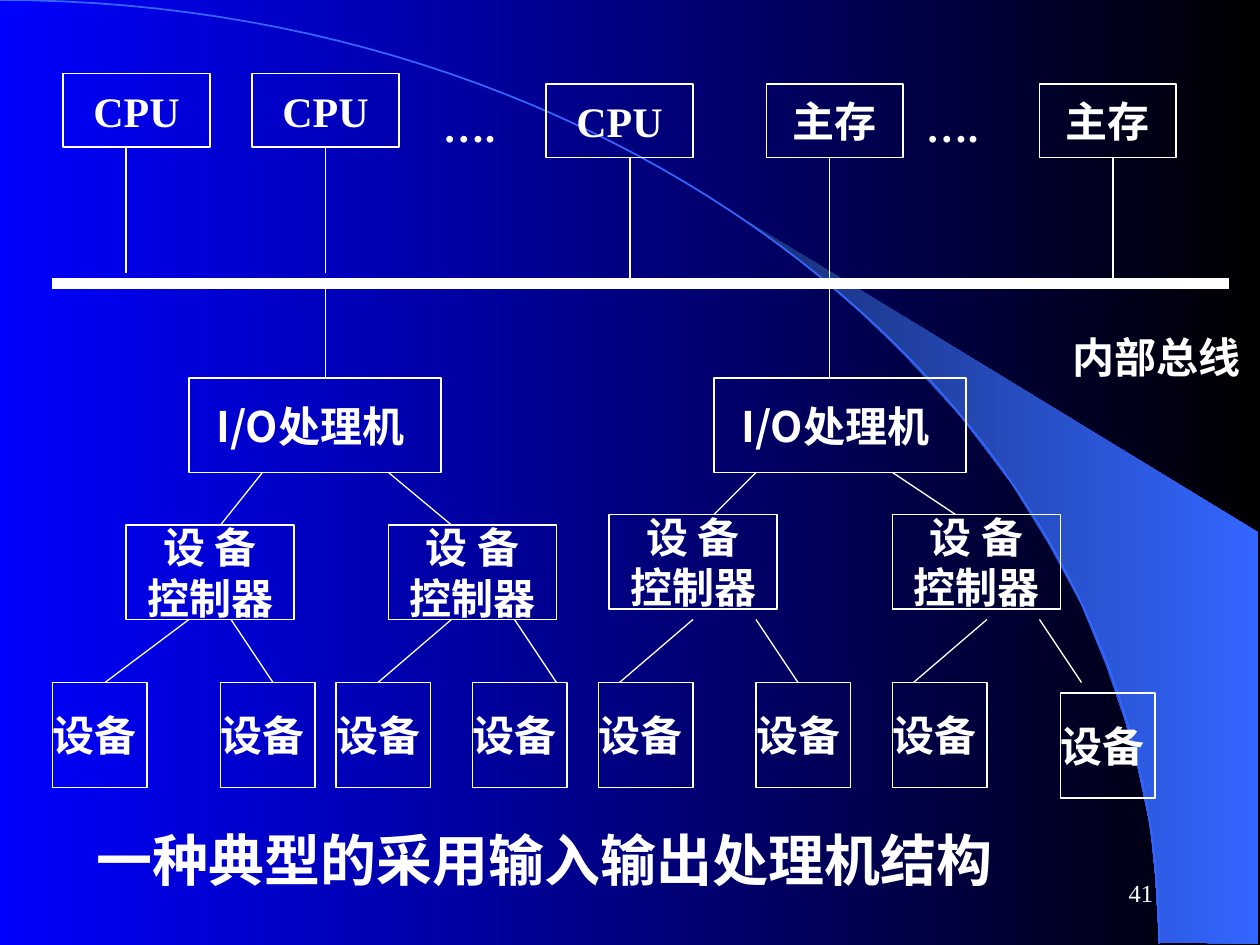
from lxml import etree
from pptx import Presentation
from pptx import util as u
from pptx.dml.color import RGBColor
from pptx.enum import shapes, text
from pptx.oxml.ns import qn

HUE = {"white": "FFFFFF", "blue": "0000FF", "black": "000000",
       "arc": "3366FF", "deep": "182F76"}
SERIF, SANS = "Times New Roman", "Noto Sans CJK SC"
CELL = 2.54 / 12  # the diagram sits on a grid of twelfths of an inch

# label, font, box width and height, then the left and top of each box
BOXES = [
    ("CPU", SERIF, 14, 7, [(6, 7), (24, 7), (52, 8)]),
    ("主存", SERIF, 13, 7, [(73, 8), (99, 8)]),
    ("I/O处理机 ", SANS, 24, 9, [(18, 36), (68, 36)]),
    ("设 备\n控制器", SANS, 16, 9, [(12, 50), (37, 50), (58, 49), (85, 49)]),
    ("设备 ", SANS, 9, 10,
     [(x, 65) for x in (5, 21, 32, 45, 57, 72, 85)] + [(101, 66)]),
]
BUS = (5, 27, 117, 27)
# start y, end y, then the start and end x of each line
LINKS = [
    (14, 26, [(12, 12), (31, 31)]),
    (15, 27, [(60, 60), (79, 79), (106, 106)]),
    (27, 36, [(31, 31), (79, 79)]),
    (45, 50, [(25, 21), (37, 43)]),
    (45, 49, [(72, 68), (85, 91)]),
    (59, 65, [(18, 10), (22, 26), (43, 36), (49, 53),
              (66, 59), (72, 76), (94, 87), (99, 103)]),
]
# text, left, top, width, height, format
NOTES = [
    ("….", 41, 9, 10, 6, {}),
    ("….", 87, 9, 10, 6, {}),
    ("内部总线", 101, 31, 19, 6, {"font": SANS}),
    ("一种典型的采用输入输出处理机结构", 8, 78, 98, 7.7,
     {"font": SANS, "size": 32}),
    ("41", 86, 82, 25, 6, {"size": 14, "bold": False, "mid": True,
                           "align": text.PP_ALIGN.RIGHT}),
]
# corners in inches
SWEEP = [(9.2, 7.48), (9.99, 7.49), (9.99, 4.23), (5.89, 1.73), (6.24, 1.99),
         (6.53, 2.22), (6.85, 2.5), (7.16, 2.8), (7.62, 3.3), (8.03, 3.84),
         (8.32, 4.31), (8.58, 4.79), (8.78, 5.28), (8.93, 5.72), (9.03, 6.09),
         (9.13, 6.56), (9.17, 6.96)]
CURVE = [(0, 0), (5.08, 0), (9.2, 3.35), (9.2, 7.49)]


def grid(*cells):
    return [u.Cm(n * CELL) for n in cells]


def tint(name):
    return RGBColor.from_string(HUE[name])


def blend(fill, *names):
    """Fill with a gradient from left to right."""
    fill.gradient()
    fill.gradient_angle = 0
    for stop, name in zip(fill.gradient_stops, names):
        stop.color.rgb = tint(name)


def stroke(line, name="white", width=0.75):
    line.color.rgb = tint(name)
    line.width = u.Pt(width)


def write(shape, words, font=SERIF, size=24, bold=True, mid=False,
          wrap=True, align=text.PP_ALIGN.LEFT):
    frame = shape.text_frame
    frame.word_wrap = wrap
    frame.vertical_anchor = (text.MSO_ANCHOR.MIDDLE if mid
                             else text.MSO_ANCHOR.TOP)
    frame.text = words
    for para in frame.paragraphs:
        para.alignment = align
        for run in para.runs:
            run.font.name, run.font.size = font, u.Pt(size)
            run.font.bold = bold
            run.font.color.rgb = tint("white")
            east = etree.SubElement(run.font._element, qn("a:ea"))
            east.set("typeface", SANS)


def box(slide, words, font, *cells):
    rect = slide.shapes.add_shape(shapes.MSO_SHAPE.RECTANGLE, *grid(*cells))
    rect.shadow.inherit = False
    rect.fill.background()
    stroke(rect.line)
    write(rect, words, font=font, mid=True, wrap=False,
          align=text.PP_ALIGN.CENTER)


def link(slide, *ends, width=0.75):
    line = slide.shapes.add_connector(shapes.MSO_CONNECTOR.STRAIGHT,
                                      *grid(*ends))
    stroke(line.line, width=width)
    etree.SubElement(line._element.spPr, qn("a:effectLst"))


def trace(slide, points, close):
    """Draw an outline through points given in inches."""
    spots = [(u.Cm(x * 2.54), u.Cm(y * 2.54)) for x, y in points]
    pen = slide.shapes.build_freeform(*spots[0])
    pen.add_line_segments(spots[1:], close=close)
    form = pen.convert_to_shape()
    form.shadow.inherit = False
    return form


def bend(t):
    """Point at t on the cubic curve."""
    s = 1 - t
    parts = (s ** 3, 3 * s * s * t, 3 * s * t * t, t ** 3)
    return [sum(p * c for p, c in zip(parts, axis)) for axis in zip(*CURVE)]


def main():
    deck = Presentation()
    deck.slide_width, deck.slide_height = u.Cm(25.4), u.Cm(19.05)
    slide = deck.slides.add_slide(deck.slide_layouts[6])
    blend(slide.background.fill, "blue", "black")

    sweep = trace(slide, SWEEP, True)
    blend(sweep.fill, "deep", "arc")
    sweep.line.fill.background()
    arc = trace(slide, [bend(i / 60) for i in range(61)], False)
    arc.fill.background()
    stroke(arc.line, "arc", 1)

    link(slide, *BUS, width=6)
    for words, font, wide, high, spots in BOXES:
        for left, top in spots:
            box(slide, words, font, left, top, wide, high)
    for top, end, pairs in LINKS:
        for x, to in pairs:
            link(slide, x, top, to, end)
    for words, *cells, form in NOTES:
        write(slide.shapes.add_textbox(*grid(*cells)), words, **form)
    deck.save("out.pptx")


if __name__ == "__main__":
    main()
